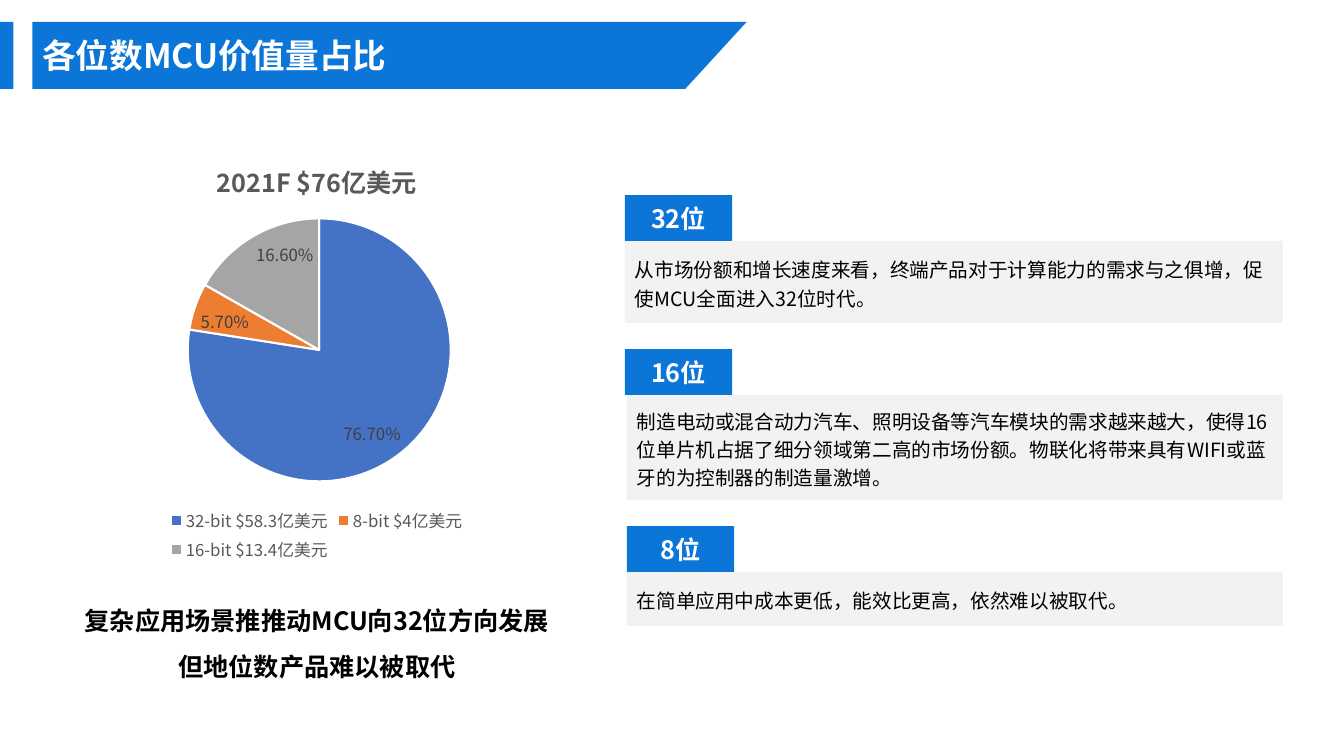
"""Build the slide on the value share of MCUs by bit width."""
from dataclasses import dataclass
from lxml import etree
from pptx import Presentation
from pptx.chart.data import CategoryChartData
from pptx.dml.color import RGBColor
from pptx.enum.chart import XL_CHART_TYPE, XL_LABEL_POSITION, XL_LEGEND_POSITION
from pptx.enum.shapes import MSO_SHAPE
from pptx.enum.text import MSO_ANCHOR, PP_ALIGN
from pptx.oxml import parse_xml
from pptx.oxml.ns import qn
from pptx.util import Cm, Pt

PIE = XL_CHART_TYPE.PIE
INSIDE = XL_LABEL_POSITION.INSIDE_END
BOTTOM = XL_LEGEND_POSITION.BOTTOM
RECT = MSO_SHAPE.RECTANGLE
MIDDLE = MSO_ANCHOR.MIDDLE
LEFT, CENTER = PP_ALIGN.LEFT, PP_ALIGN.CENTER


@dataclass(frozen=True)
class Theme:
    font: str = "Noto Sans CJK SC"
    blue: str = "0B76D7"
    pale: str = "F2F2F2"
    white: str = "FFFFFF"
    black: str = "000000"
    gray: str = "595959"
    dark: str = "404040"
    slices: tuple = ("4472C4", "ED7D31", "A5A5A5")
    head: int = 24
    lead: int = 18
    body: int = 14
    small: int = 12


theme = Theme()


def style(font, size, color, bold=False):
    font.name, font.size, font.bold = theme.font, Pt(size), bold
    font.color.rgb = RGBColor.from_string(color)


def write(shape, text, size, color, bold=False, align=LEFT, space=None):
    frame = shape.text_frame
    frame.word_wrap = True
    frame.text = text
    for para in frame.paragraphs:
        para.alignment = align
        para.line_spacing = space
        for run in para.runs:
            style(run.font, size, color, bold)


deck = Presentation()
deck.slide_width, deck.slide_height = Cm(33.87), Cm(19.05)
slide = deck.slides.add_slide(deck.slide_layouts[6])
shapes = slide.shapes

pen = shapes.build_freeform(Cm(0.82), Cm(0.55))
pen.add_line_segments([(Cm(18.82), Cm(0.55)), (Cm(17.27), Cm(2.24)), (Cm(0.82), Cm(2.24))])
banner = pen.convert_to_shape()
edge = shapes.add_shape(RECT, 0, Cm(0.55), Cm(0.34), Cm(1.69))
boxes = [(banner, theme.blue), (edge, theme.blue)]

title = shapes.add_textbox(Cm(0.82), Cm(0.76), Cm(14.94), Cm(1.28))
write(title, "各位数MCU价值量占比", theme.head, theme.white, True)
claim = shapes.add_textbox(Cm(1.85), Cm(14.76), Cm(12.27), Cm(2.44))
write(claim, "复杂应用场景推推动MCU向32位方向发展\n但地位数产品难以被取代",
      theme.lead, theme.black, True, CENTER, 1.5)

data = CategoryChartData(number_format="0.00%")
data.categories = ["32-bit $58.3亿美元", "8-bit $4亿美元", "16-bit $13.4亿美元"]
data.add_series("Series 1", (0.767, 0.057, 0.166))
chart = shapes.add_chart(PIE, Cm(2.34), Cm(3.58), Cm(11.3), Cm(10.69), data).chart
style(chart.font, theme.small, theme.black)
chart.has_title = True
chart.chart_title.include_in_layout = False
head = chart.chart_title.text_frame
head.text = "2021F $76亿美元"
style(head.paragraphs[0].runs[0].font, theme.lead, theme.gray, True)
chart.has_legend = True
chart.legend.position = BOTTOM
chart.legend.include_in_layout = False
style(chart.legend.font, theme.small, theme.gray)

plot = chart.plots[0]
plot.vary_by_categories = True
plot.has_data_labels = True
labels = plot.data_labels
labels.show_value = True
labels.show_percentage = False
labels.number_format, labels.number_format_is_linked = "0.00%", False
labels.position = INSIDE
style(labels.font, theme.small, theme.dark)
for i, color in enumerate(theme.slices):
    part = plot.series[0].points[i].format
    part.fill.solid()
    part.fill.fore_color.rgb = RGBColor.from_string(color)
    part.line.color.rgb = RGBColor.from_string(theme.white)
    part.line.width = Pt(1.5)

area = chart._chartSpace.find(".//" + qn("c:plotArea"))
for old in area.findall(qn("c:layout")):
    area.remove(old)
area.insert(0, parse_xml(
    '<c:layout xmlns:c="http://schemas.openxmlformats.org/drawingml/2006/chart">'
    '<c:manualLayout><c:layoutTarget val="inner"/>'
    '<c:xMode val="edge"/><c:yMode val="edge"/><c:x val="0.21"/><c:y val="0.18"/>'
    '<c:w val="0.59"/><c:h val="0.62"/></c:manualLayout></c:layout>'))

rows = [
    ("32位", 15.75, 15.75, 2.07,
     "从市场份额和增长速度来看，终端产品对于计算能力的需求与之俱增，促使MCU全面进入32位时代。"),
    ("16位", 15.75, 15.8, 2.65,
     "制造电动或混合动力汽车、照明设备等汽车模块的需求越来越大，使得16位单片机占据了细分领域"
     "第二高的市场份额。物联化将带来具有WIFI或蓝牙的为控制器的制造量激增。"),
    ("8位", 15.8, 15.8, 1.36, "在简单应用中成本更低，能效比更高，依然难以被取代。"),
]
top, right, tall, gap = 4.92, 32.33, 1.15, 0.66
for name, tag_x, note_x, high, text in rows:
    note = shapes.add_shape(RECT, Cm(note_x), Cm(top + tall), Cm(right - note_x), Cm(high))
    write(note, text, theme.body, theme.black, space=Pt(20))
    tag = shapes.add_shape(RECT, Cm(tag_x), Cm(top), Cm(2.7), Cm(tall))
    write(tag, name, theme.lead, theme.white, True, CENTER)
    note.text_frame.vertical_anchor = tag.text_frame.vertical_anchor = MIDDLE
    boxes += [(note, theme.pale), (tag, theme.blue)]
    top += tall + high + gap

for box, color in boxes:
    box.shadow.inherit = False
    box.fill.solid()
    box.fill.fore_color.rgb = RGBColor.from_string(color)
    box.line.fill.background()

for root in (slide._element, chart._chartSpace):
    for latin in list(root.iter(qn("a:latin"))):
        east = etree.Element(qn("a:ea"), typeface=theme.font)
        latin.addnext(east)

deck.save("out.pptx")
